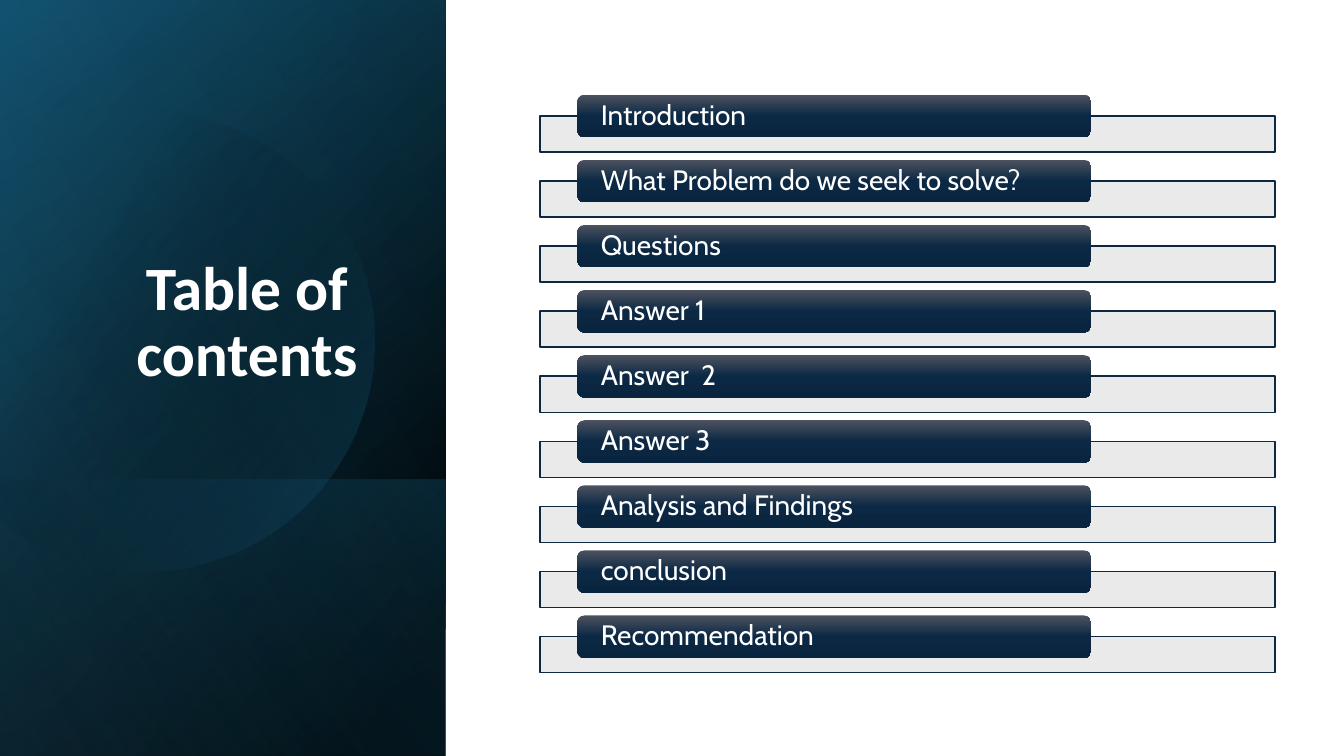
from lxml.etree import SubElement
from pptx import Presentation
from pptx.dml.color import RGBColor
from pptx.enum.shapes import MSO_SHAPE as Shape
from pptx.enum.text import MSO_ANCHOR as Anchor, MSO_AUTO_SIZE as AutoSize, PP_ALIGN as Align
from pptx.oxml.ns import qn
from pptx.util import Cm, Pt

BLACK = RGBColor(0x00, 0x00, 0x00)
WHITE = RGBColor(0xFF, 0xFF, 0xFF)
DEEP_BLUE = RGBColor(0x10, 0x48, 0x62)
TEAL = RGBColor(0x15, 0x60, 0x82)
SKY = RGBColor(0x46, 0xB1, 0xE1)
NAVY = RGBColor(0x0E, 0x28, 0x41)
PALE_GREY = RGBColor(0xE8, 0xE8, 0xE8)
PILL_TOP = RGBColor(0x4C, 0x52, 0x5F)
PILL_MIDDLE = RGBColor(0x0B, 0x28, 0x44)
PILL_BOTTOM = RGBColor(0x08, 0x24, 0x3E)

SLIDE_WIDTH, SLIDE_HEIGHT = 33.87, 19.05
PANEL_WIDTH = 11.23
ROW_TOP, ROW_PITCH = 2.39, 1.64

# Top, height, gradient angle and stops (position, colour, opacity in percent)
PANELS_BELOW_DISC = [
    (0, SLIDE_HEIGHT, 50, [(8, BLACK, 100), (100, DEEP_BLUE, 100)]),
    (0, SLIDE_HEIGHT, 30, [(0, BLACK, 0), (99, TEAL, 46)]),
    (12.09, 6.96, 130, [(2, TEAL, 29), (100, BLACK, 30)]),
]
PANEL_ABOVE_DISC = (0, SLIDE_HEIGHT, 120, [(0, BLACK, 0), (99, SKY, 11)])
DISC_STOPS = [(29, BLACK, 0), (100, TEAL, 43)]
PILL_STOPS = [(0, PILL_TOP, 100), (50, PILL_MIDDLE, 100), (100, PILL_BOTTOM, 100)]

# Disc outline in cm: one point is a line, three points are a Bézier curve
DISC_START = (3.78, 2.79)
DISC_SEGMENTS = [
    [(6.25, 2.84), (8.51, 4.5), (9.22, 6.99)],
    [(10.11, 10.08), (8.33, 13.28), (5.26, 14.17)],
    [(3.33, 14.73), (1.35, 14.25), (-0.08, 13.06)],
    [(-0.38, 12.78)],
    [(-0.38, 4.45)],
    [(0, 4.09)],
    [(0.58, 3.61), (1.27, 3.23), (2.03, 3.02)],
    [(2.62, 2.87), (3.2, 2.79), DISC_START],
]
CURVE_STEPS = 16

TOPICS = [
    "Introduction",
    "What Problem do we seek to solve?",
    "Questions",
    "Answer 1",
    "Answer  2",
    "Answer 3",
    "Analysis and Findings",
    "conclusion",
    "Recommendation",
]

TITLE_FONT = {"name": "Calibri", "size": Pt(44), "bold": True}
TOPIC_FONT = {"name": "Cabin", "size": Pt(20), "bold": False}
TITLE_PLACE = {"left": Cm(1.63), "top": Cm(4.67), "width": Cm(9.19), "height": Cm(6.96)}
TITLE_FRAME = {"word_wrap": True, "auto_size": AutoSize.NONE, "vertical_anchor": Anchor.MIDDLE}
TOPIC_FRAME = {
    "word_wrap": True, "vertical_anchor": Anchor.MIDDLE,
    "margin_left": Cm(0.54), "margin_right": Cm(0.54), "margin_top": 0, "margin_bottom": 0,
}


def apply_format(target, values):
    for name, value in values.items():
        setattr(target, name, value)


def set_opacity(colour_element, percent):
    SubElement(colour_element, qn("a:alpha"), val=str(percent * 1000))


def fill_gradient(shape, angle, stops):
    """Fill with (position, colour, opacity) stops; the angle runs clockwise."""
    shape.fill.gradient()
    gradient = shape._element.spPr.find(qn("a:gradFill"))
    gradient.clear()
    gradient.set("rotWithShape", "1")
    stop_list = SubElement(gradient, qn("a:gsLst"))
    for position, colour, opacity in stops:
        stop = SubElement(stop_list, qn("a:gs"), pos=str(position * 1000))
        set_opacity(SubElement(stop, qn("a:srgbClr"), val=str(colour)), opacity)
    SubElement(gradient, qn("a:lin"), ang=str(angle * 60000), scaled="0")


def add_box(slide, kind, left, top, width, height):
    shape = slide.shapes.add_shape(kind, Cm(left), Cm(top), Cm(width), Cm(height))
    shape.shadow.inherit = False
    shape.line.fill.background()
    return shape


def add_panel(slide, top, height, angle, stops):
    """Add a mirrored rectangle, turned a quarter, across the left panel."""
    left = (PANEL_WIDTH - height) / 2
    panel = add_box(slide, Shape.RECTANGLE, left, top + (height - PANEL_WIDTH) / 2,
                    height, PANEL_WIDTH)
    panel.rotation = 90
    panel._element.spPr.find(qn("a:xfrm")).set("flipH", "1")
    fill_gradient(panel, angle, stops)


def bezier_points(start, first, second, end):
    for step in range(1, CURVE_STEPS + 1):
        t = step / CURVE_STEPS
        weights = ((1 - t) ** 3, 3 * t * (1 - t) ** 2, 3 * t ** 2 * (1 - t), t ** 3)
        yield tuple(sum(weight * point[axis] for weight, point
                        in zip(weights, (start, first, second, end))) for axis in (0, 1))


def add_disc(slide):
    outline = [DISC_START]
    for segment in DISC_SEGMENTS:
        outline.extend(bezier_points(outline[-1], *segment) if len(segment) == 3 else segment)
    points = [(Cm(x), Cm(y)) for x, y in outline]
    builder = slide.shapes.build_freeform(*points[0])
    builder.add_line_segments(points[1:], close=True)
    disc = builder.convert_to_shape()
    disc.shadow.inherit = False
    disc.line.fill.background()
    fill_gradient(disc, 30, DISC_STOPS)


def write_text(shape, text, font, frame_format, alignment):
    frame = shape.text_frame
    apply_format(frame, frame_format)
    frame.text = text
    paragraph = frame.paragraphs[0]
    apply_format(paragraph, {"alignment": alignment, "line_spacing": 0.9})
    run = paragraph.runs[0]
    apply_format(run.font, font)
    run.font.color.rgb = WHITE


def add_title(slide):
    title = slide.shapes.title
    apply_format(title, TITLE_PLACE)
    write_text(title, "Table of contents", TITLE_FONT, TITLE_FRAME, Align.CENTER)
    slide.shapes._spTree.append(title._element)  # bring in front of the panels


def add_topic(slide, text, top):
    bar = add_box(slide, Shape.RECTANGLE, 13.61, top + 0.53, 18.52, 0.91)
    bar.fill.solid()
    bar.fill.fore_color.rgb = PALE_GREY
    set_opacity(bar._element.spPr.find(qn("a:solidFill"))[0], 90)
    bar.line.color.rgb = NAVY
    bar.line.width = Pt(1)
    pill = add_box(slide, Shape.ROUNDED_RECTANGLE, 14.55, top, 12.95, 1.07)
    fill_gradient(pill, 90, PILL_STOPS)
    write_text(pill, text, TOPIC_FONT, TOPIC_FRAME, Align.LEFT)


def main():
    presentation = Presentation()
    presentation.slide_width = Cm(SLIDE_WIDTH)
    presentation.slide_height = Cm(SLIDE_HEIGHT)
    slide = presentation.slides.add_slide(presentation.slide_layouts.get_by_name("Title Only"))
    for panel in PANELS_BELOW_DISC:
        add_panel(slide, *panel)
    add_disc(slide)
    add_panel(slide, *PANEL_ABOVE_DISC)
    add_title(slide)
    for row, topic in enumerate(TOPICS):
        add_topic(slide, topic, ROW_TOP + row * ROW_PITCH)
    presentation.save("out.pptx")


if __name__ == "__main__":
    main()
